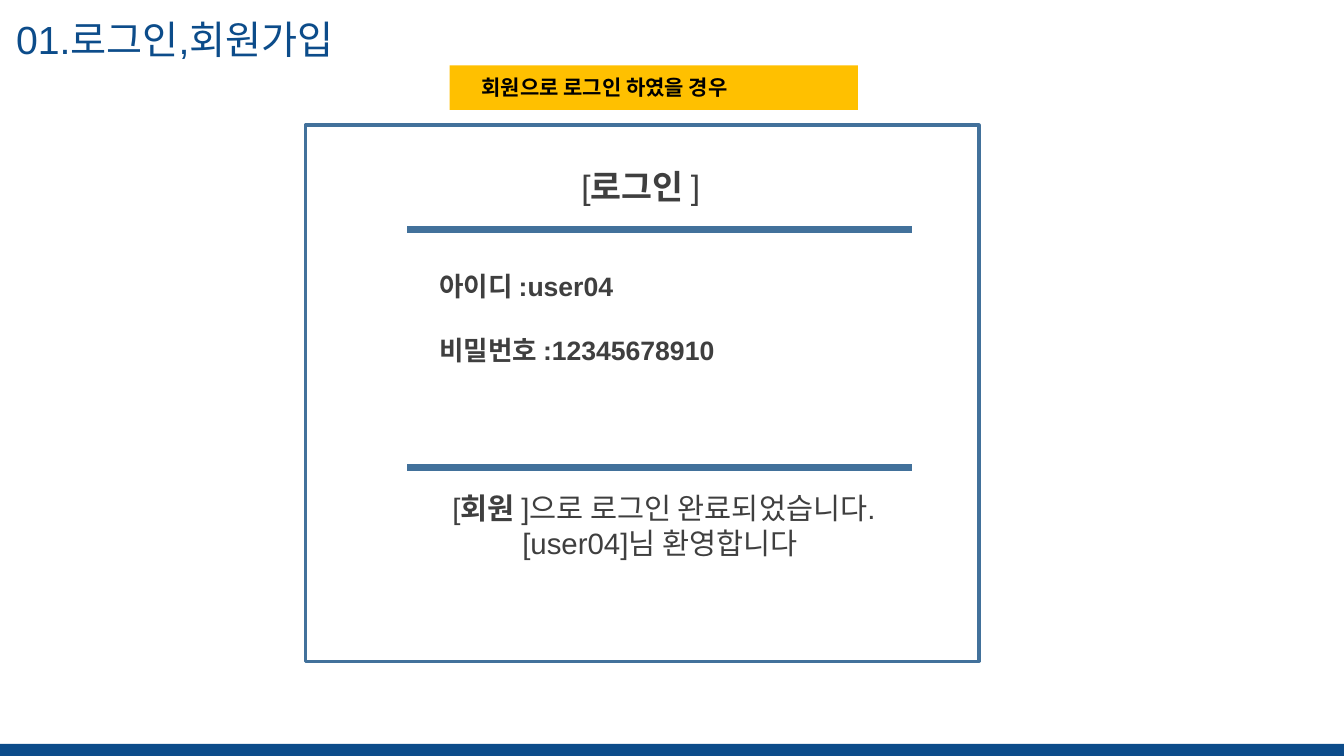
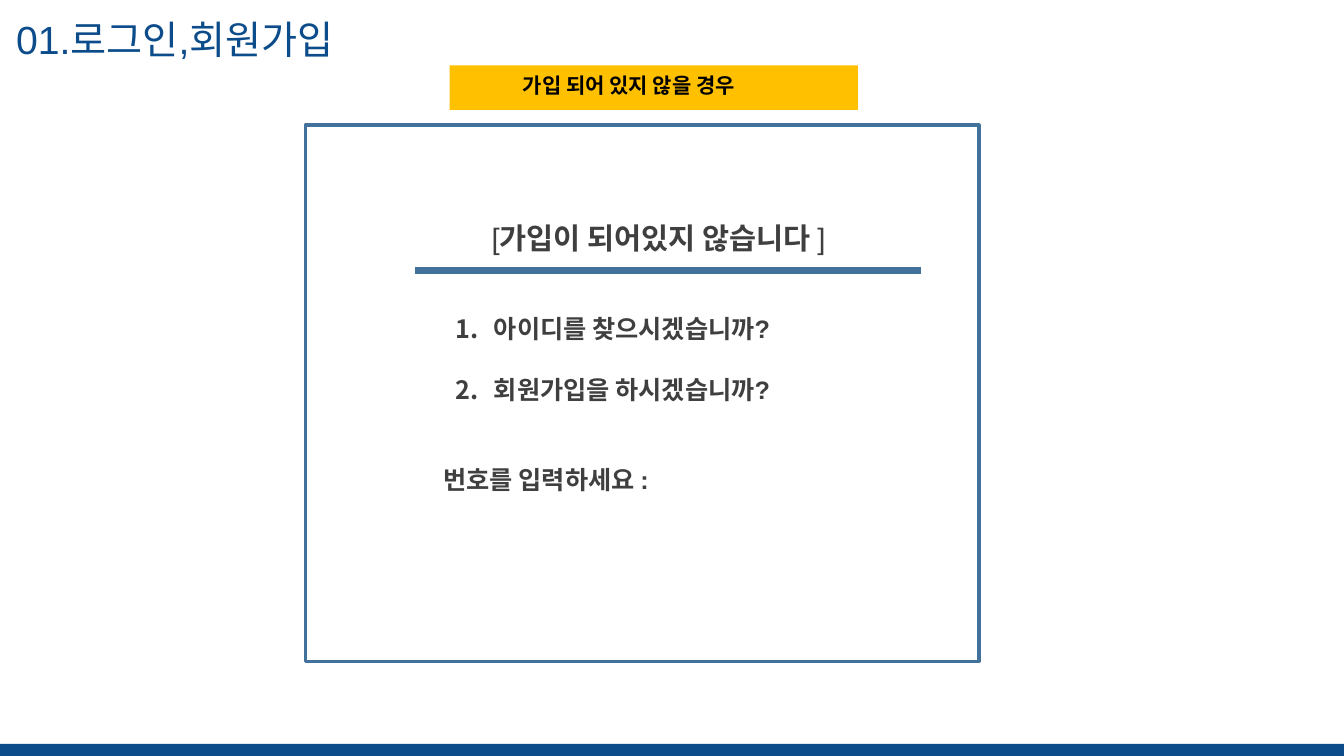
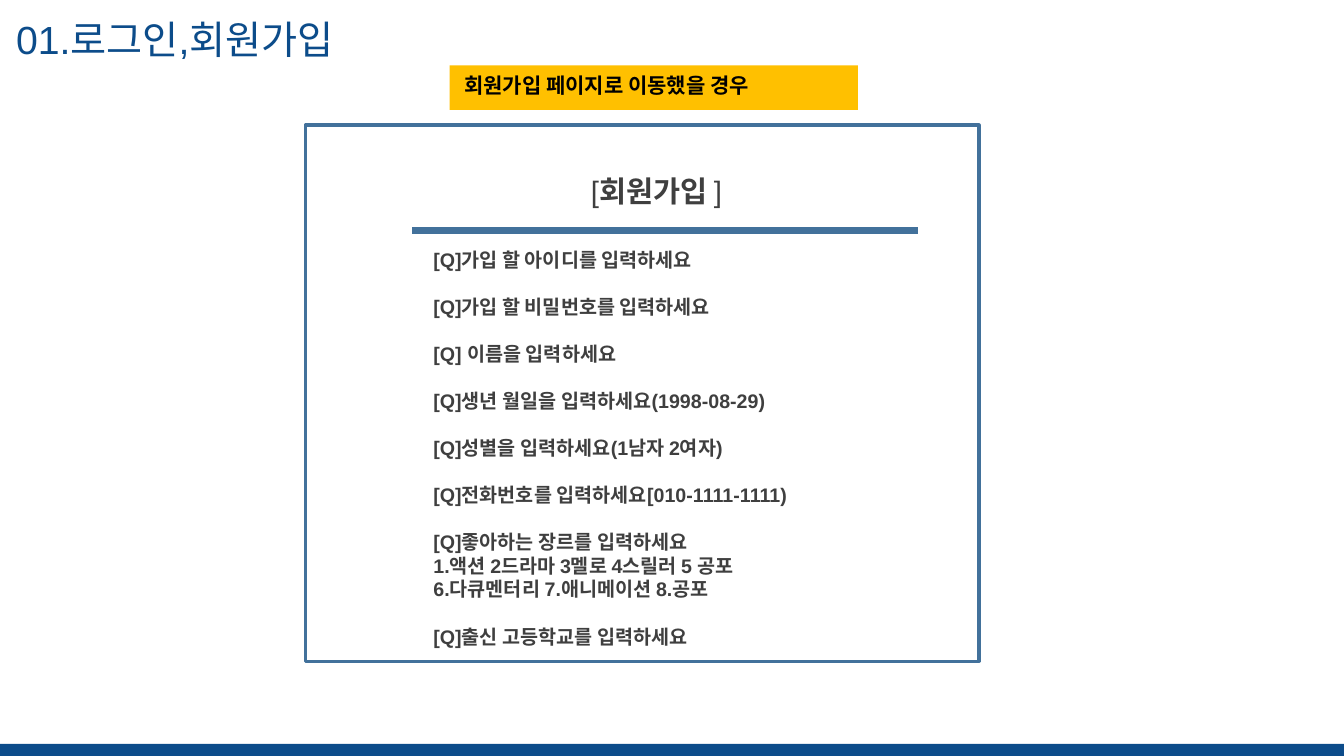
import dataclasses

import lxml.etree
import pptx
import pptx.dml.color
import pptx.enum.shapes
import pptx.enum.text
import pptx.oxml.ns
import pptx.util

Inches = pptx.util.Inches
Pt = pptx.util.Pt
ALIGN = pptx.enum.text.PP_ALIGN


@dataclasses.dataclass(frozen=True)
class Theme:
    navy: str = "0C4C8A"
    steel: str = "42719B"
    amber: str = "FFC000"
    ink: str = "3F3F3F"
    black: str = "000000"
    font: str = "Arial"
    title: int = 28
    heading: int = 24
    message: int = 21
    field: int = 19
    choice: int = 18
    caption: int = 15
    question: int = 14
    line_height: float = 1.2


@dataclasses.dataclass
class Line:
    runs: list  # (text, size, bold)
    gap: int = 0  # free lines above
    numbered: bool = False


THEME = Theme()


def rgb(color):
    return pptx.dml.color.RGBColor.from_string(color)


def write_text(shape, lines, color=THEME.ink, align=ALIGN.LEFT):
    frame = shape.text_frame
    frame.word_wrap = True
    frame.auto_size = pptx.enum.text.MSO_AUTO_SIZE.NONE
    frame.vertical_anchor = pptx.enum.text.MSO_ANCHOR.TOP
    for index, line in enumerate(lines):
        paragraph = frame.add_paragraph() if index else frame.paragraphs[0]
        paragraph.alignment = align
        if line.gap:
            paragraph.space_before = Pt(line.gap * line.runs[0][1] * THEME.line_height)
        for text, size, bold in line.runs:
            run = paragraph.add_run()
            run.text = text
            run.font.name = THEME.font
            run.font.size = Pt(size)
            run.font.bold = bold
            run.font.color.rgb = rgb(color)
        if line.numbered:
            properties = paragraph._p.get_or_add_pPr()
            properties.set("marL", str(Inches(0.5)))
            properties.set("indent", str(Inches(-0.38)))
            number = lxml.etree.SubElement(properties, pptx.oxml.ns.qn("a:buAutoNum"))
            number.set("type", "arabicPeriod")


# Slide contents: each text is (left, top, width, height), lines, alignment
questions = [
    ("[Q]가입 할 아이디를 입력하세요", 0),
    ("[Q]가입 할 비밀번호를 입력하세요", 1),
    ("[Q] 이름을 입력하세요", 1),
    ("[Q]생년 월일을 입력하세요(1998-08-29)", 1),
    ("[Q]성별을 입력하세요(1남자 2여자)", 1),
    ("[Q]전화번호를 입력하세요[010-1111-1111)", 1),
    ("[Q]좋아하는 장르를 입력하세요", 1),
    ("1.액션 2드라마 3멜로 4스릴러 5 공포", 0),
    ("6.다큐멘터리 7.애니메이션 8.공포", 0),
    ("[Q]출신 고등학교를 입력하세요", 1),
]
pages = [
    {
        "caption": (" 회원으로 로그인 하였을 경우", 4.63, 0.69),
        "rules": [(4.04, 2.28), (4.04, 4.64)],
        "texts": [
            ((4.46, 1.6, 3.7, 0.5), [Line([
                (" [", THEME.heading, False),
                ("로그인", THEME.heading, True),
                (" ]", THEME.heading, False)])], ALIGN.CENTER),
            ((4.26, 2.63, 3.53, 1.33), [
                Line([("아이디 :user04", THEME.field, True)]),
                Line([("비밀번호 :12345678910", THEME.field, True)], gap=1)], ALIGN.LEFT),
            ((3.18, 4.81, 6.73, 0.81), [
                Line([
                    (" [", THEME.message, False),
                    ("회원", THEME.message, True),
                    (" ]으로 로그인 완료되었습니다.", THEME.message, False)]),
                Line([("[user04]님 환영합니다", THEME.message, False)])], ALIGN.CENTER),
        ],
    },
    {
        "caption": (" 가입 되어 있지 않을 경우", 5.04, 0.67),
        "rules": [(4.12, 2.68)],
        "texts": [
            ((3.73, 2.09, 5.51, 0.5), [Line([
                (" ", THEME.heading, False),
                ("[", THEME.message, False),
                ("가입이 되어있지 않습니다", THEME.message, True),
                (" ]", THEME.message, False)])], ALIGN.CENTER),
            ((4.3, 3.06, 4.79, 2.19), [
                Line([("아이디를 찾으시겠습니까?", THEME.choice, True)], numbered=True),
                Line([("회원가입을 하시겠습니까?", THEME.choice, True)], gap=1, numbered=True),
                Line([("번호를 입력하세요 :", THEME.choice, True)], gap=2)], ALIGN.LEFT),
        ],
    },
    {
        "caption": (" 회원가입 페이지로 이동했을 경우", 4.46, 0.67),
        "rules": [(4.09, 2.29)],
        "texts": [
            ((3.71, 1.63, 5.51, 0.5), [Line([
                (" ", THEME.heading, False),
                ("[", THEME.message, False),
                ("회원가입 ", THEME.message, True),
                ("]", THEME.message, False)])], ALIGN.CENTER),
            ((4.2, 2.41, 4.79, 4.11),
             [Line([(text, THEME.question, True)], gap=gap) for text, gap in questions],
             ALIGN.LEFT),
        ],
    },
]

# Rectangles on every slide: box, fill, outline
rectangles = [
    ((0, 7.38, 13.33, 0.12), THEME.navy, None),  # footer band
    ((4.46, 0.65, 4.05, 0.44), THEME.amber, None),  # caption band
    ((3.03, 1.24, 6.68, 5.32), None, THEME.steel),  # screen frame
]
rule_width = 5.01

presentation = pptx.Presentation()
presentation.slide_width = Inches(13.33)
presentation.slide_height = Inches(7.5)

for page in pages:
    slide = presentation.slides.add_slide(presentation.slide_layouts[5])

    # Title
    title = slide.shapes.title
    title.left, title.top = Inches(0.06), Inches(0.1)
    title.width, title.height = Inches(5.15), Inches(0.57)
    write_text(title, [Line([("01.로그인,회원가입", THEME.title, False)])], color=THEME.navy)

    # Bands and frame
    for box, fill, outline in rectangles:
        shape = slide.shapes.add_shape(
            pptx.enum.shapes.MSO_SHAPE.RECTANGLE, *map(Inches, box))
        shape.shadow.inherit = False
        if fill:
            shape.fill.solid()
            shape.fill.fore_color.rgb = rgb(fill)
        else:
            shape.fill.background()
        if outline:
            shape.line.color.rgb = rgb(outline)
            shape.line.width = Pt(2.25)
        else:
            shape.line.fill.background()

    # Caption
    caption, left, top = page["caption"]
    caption_box = slide.shapes.add_textbox(
        Inches(left), Inches(top), Inches(4.47), Inches(0.35))
    write_text(caption_box, [Line([(caption, THEME.caption, True)])], color=THEME.black)

    # Rules
    for left, top in page["rules"]:
        rule = slide.shapes.add_connector(
            pptx.enum.shapes.MSO_CONNECTOR.STRAIGHT,
            Inches(left), Inches(top), Inches(left + rule_width), Inches(top))
        rule.line.color.rgb = rgb(THEME.steel)
        rule.line.width = Pt(5)
        lxml.etree.SubElement(rule._element.spPr, pptx.oxml.ns.qn("a:effectLst"))

    # Heading and body
    for box, lines, align in page["texts"]:
        text_box = slide.shapes.add_textbox(*map(Inches, box))
        write_text(text_box, lines, align=align)

presentation.save("out.pptx")
